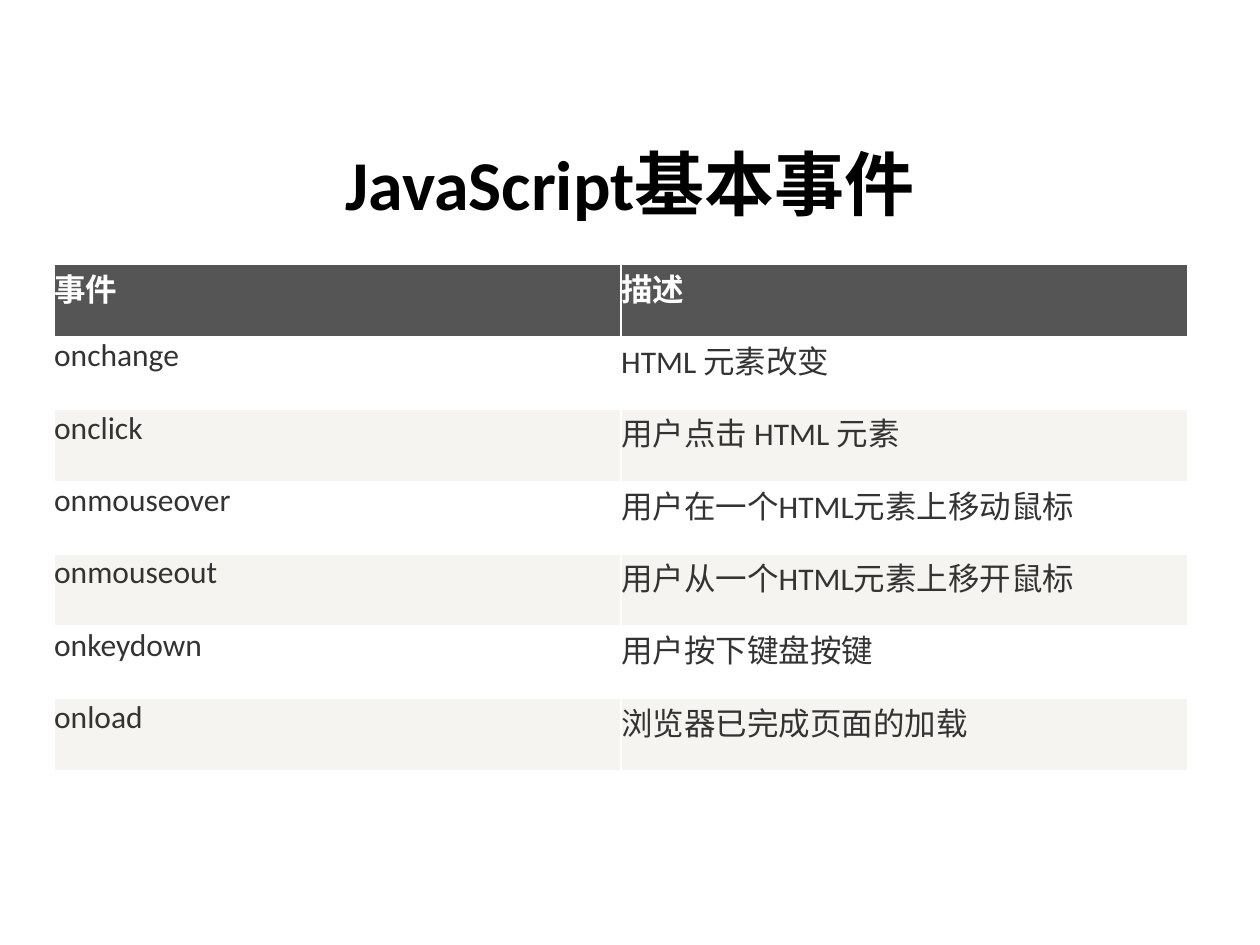
from pptx import Presentation
from pptx.dml.color import RGBColor
from pptx.enum.text import MSO_ANCHOR, PP_ALIGN
from pptx.util import Inches, Pt

FONT = "Calibri"
HEADER = ("事件", "描述")
EVENTS = [
    ("onchange", "HTML 元素改变"),
    ("onclick", "用户点击 HTML 元素"),
    ("onmouseover", "用户在一个HTML元素上移动鼠标"),
    ("onmouseout", "用户从一个HTML元素上移开鼠标"),
    ("onkeydown", "用户按下键盘按键"),
    ("onload", "浏览器已完成页面的加载"),
]


def rgb(color):
    """Turn a hex string into a colour."""
    return RGBColor.from_string(color)


def set_text(tf, text, size, color, bold=False, align=PP_ALIGN.LEFT):
    """Write one formatted paragraph into a text frame."""
    p = tf.paragraphs[0]
    p.text = text
    p.alignment = align
    for r in p.runs:
        r.font.name = FONT
        r.font.size = Pt(size)
        r.font.bold = bold
        r.font.color.rgb = rgb(color)


def add_title(slide, text):
    """Add the centred slide title."""
    sp = slide.shapes.add_textbox(Inches(0.5), Inches(0.82), Inches(9), Inches(1.25))
    tf = sp.text_frame
    tf.word_wrap = True
    tf.vertical_anchor = MSO_ANCHOR.MIDDLE
    set_text(tf, text, 40, "000000", True, PP_ALIGN.CENTER)


def set_cell(cell, text, color, fill=None, bold=False):
    """Fill a table cell and write its text without margins."""
    cell.margin_left = cell.margin_right = cell.margin_top = cell.margin_bottom = 0
    cell.vertical_anchor = MSO_ANCHOR.TOP
    if fill:
        cell.fill.solid()
        cell.fill.fore_color.rgb = rgb(fill)
    else:
        cell.fill.background()
    set_text(cell.text_frame, text, 18, color, bold)


def add_event_table(slide, header, events):
    """Add the table of events with a dark header and shaded even rows."""
    table = slide.shapes.add_table(len(events) + 1, len(header), Inches(0.43),
                                   Inches(2.1), Inches(9), Inches(4.02)).table
    for col, text in enumerate(header):
        set_cell(table.cell(0, col), text, "FFFFFF", "555555", True)
    for row, event in enumerate(events, 1):
        fill = "F6F4F0" if row % 2 == 0 else None
        for col, text in enumerate(event):
            set_cell(table.cell(row, col), text, "333333", fill)


def main():
    """Build the slide and save it."""
    prs = Presentation()
    prs.slide_width, prs.slide_height = Inches(10), Inches(7.5)
    slide = prs.slides.add_slide(prs.slide_layouts[6])
    add_title(slide, "JavaScript基本事件")
    add_event_table(slide, HEADER, EVENTS)
    prs.save("out.pptx")


if __name__ == "__main__":
    main()
